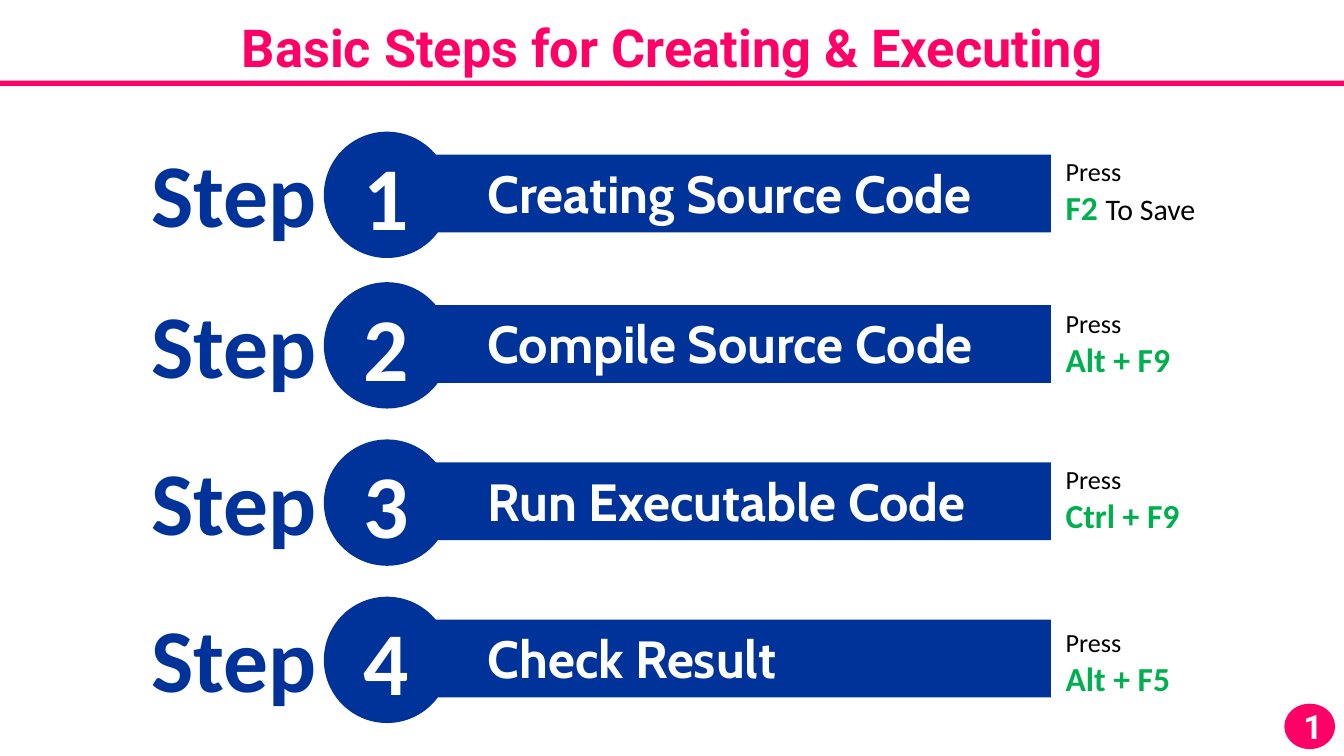
"""Build a slide of four numbered steps, each with its shortcut key."""
from pptx import Presentation
from pptx import util as u
from pptx.dml.color import RGBColor
from pptx.enum import shapes, text

WIDTH = 10
HEIGHT = WIDTH * 9 / 16
PINK, BLUE, GREEN, WHITE, BLACK = "FF0066", "003399", "00B050", "FFFFFF", "000000"
TITLE = "Basic Steps for Creating & Executing"
PAGE = "1"
# action, shortcut, rest of the shortcut line, top of the step, top of the shortcut
STEPS = [
    ("Creating Source Code", "F2 ", "To Save", 0.98, 1.11),
    ("Compile Source Code", "Alt + F9", "", 2.10, 2.24),
    ("Run Executable Code", "Ctrl + F9", "", 3.27, 3.40),
    ("Check Result", "Alt + F5", "", 4.44, 4.61),
]
COLUMNS = {"step": (1.03, 1.62), "disc": (2.41, 0.94), "number": (2.61, 0.47),
           "bar": (3.11, 4.71), "action": (3.53, 4.13), "shortcut": (7.83, 1.19)}
DISC, BAR = shapes.MSO_SHAPE.OVAL, shapes.MSO_SHAPE.RECTANGLE
LEFT, CENTER, JUSTIFY = text.PP_ALIGN.LEFT, text.PP_ALIGN.CENTER, text.PP_ALIGN.JUSTIFY


def color(value):
    return RGBColor.from_string(value)


def box(left, top, width, height):
    return [u.Inches(n) for n in (left, top, width, height)]


def cell(column, top, height):
    left, width = COLUMNS[column]
    return box(left, top, width, height)


def add_solid(slide, kind, place, fill):
    solid = slide.shapes.add_shape(kind, *place)
    solid.shadow.inherit = False
    solid.fill.solid()
    solid.fill.fore_color.rgb = color(fill)
    solid.line.fill.background()
    return solid


def style(run, size, font, ink, bold=True):
    run.font.size, run.font.name, run.font.bold = u.Pt(size), font, bold
    run.font.color.rgb = color(ink)


def write(holder, words, size, font, ink, align=LEFT):
    frame = holder.text_frame
    frame.text, frame.word_wrap = words, True
    frame.vertical_anchor = text.MSO_ANCHOR.TOP
    frame.paragraphs[0].alignment = align
    style(frame.paragraphs[0].runs[0], size, font, ink)


def add_label(slide, place, *look):
    write(slide.shapes.add_textbox(*place), *look)


def add_shortcut(slide, top, keys, rest):
    frame = slide.shapes.add_textbox(*cell("shortcut", top, 0.64)).text_frame
    frame.word_wrap = False
    frame.text = "Press"
    style(frame.paragraphs[0].runs[0], 14, "Calibri", BLACK, False)
    line = frame.add_paragraph()
    line.text = keys
    style(line.runs[0], 18, "Calibri", GREEN)
    if rest:
        purpose = line.add_run()
        purpose.text = rest
        style(purpose, 16, "Calibri", BLACK, False)


def add_step(slide, number, action, keys, rest, top, shortcut_top):
    add_solid(slide, DISC, cell("disc", top, 0.94), BLUE)
    add_solid(slide, BAR, cell("bar", top + 0.17, 0.58), BLUE)
    add_label(slide, cell("action", top + 0.17, 0.57), action, 28, "Cabin", WHITE, JUSTIFY)
    add_label(slide, cell("number", top + 0.02, 0.9), str(number), 48, "Calibri", WHITE)
    add_label(slide, cell("step", top, 0.9), "Step", 48, "Calibri", BLUE)
    add_shortcut(slide, shortcut_top, keys, rest)


def main():
    deck = Presentation()
    deck.slide_width, deck.slide_height = u.Inches(WIDTH), u.Inches(HEIGHT)
    slide = deck.slides.add_slide(deck.slide_layouts.get_by_name("Title Only"))

    title = slide.shapes.title
    title.left, title.top, title.width, title.height = box(0, 0.06, WIDTH, 0.57)
    write(title, TITLE, 28, "Roboto", PINK, CENTER)
    title.text_frame.auto_size = text.MSO_AUTO_SIZE.NONE
    add_solid(slide, BAR, box(0, 0.6, WIDTH, 0.04), PINK)

    for number, step in enumerate(STEPS, 1):
        add_step(slide, number, *step)

    badge = add_solid(slide, DISC, box(9.57, 5.25, 0.35, 0.31), PINK)
    badge.line.color.rgb, badge.line.width = color(PINK), u.Pt(2)
    add_label(slide, box(9.6, 5.2, 0.29, 0.4), PAGE, 18, "Roboto", WHITE, CENTER)
    deck.save("out.pptx")


if __name__ == "__main__":
    main()
